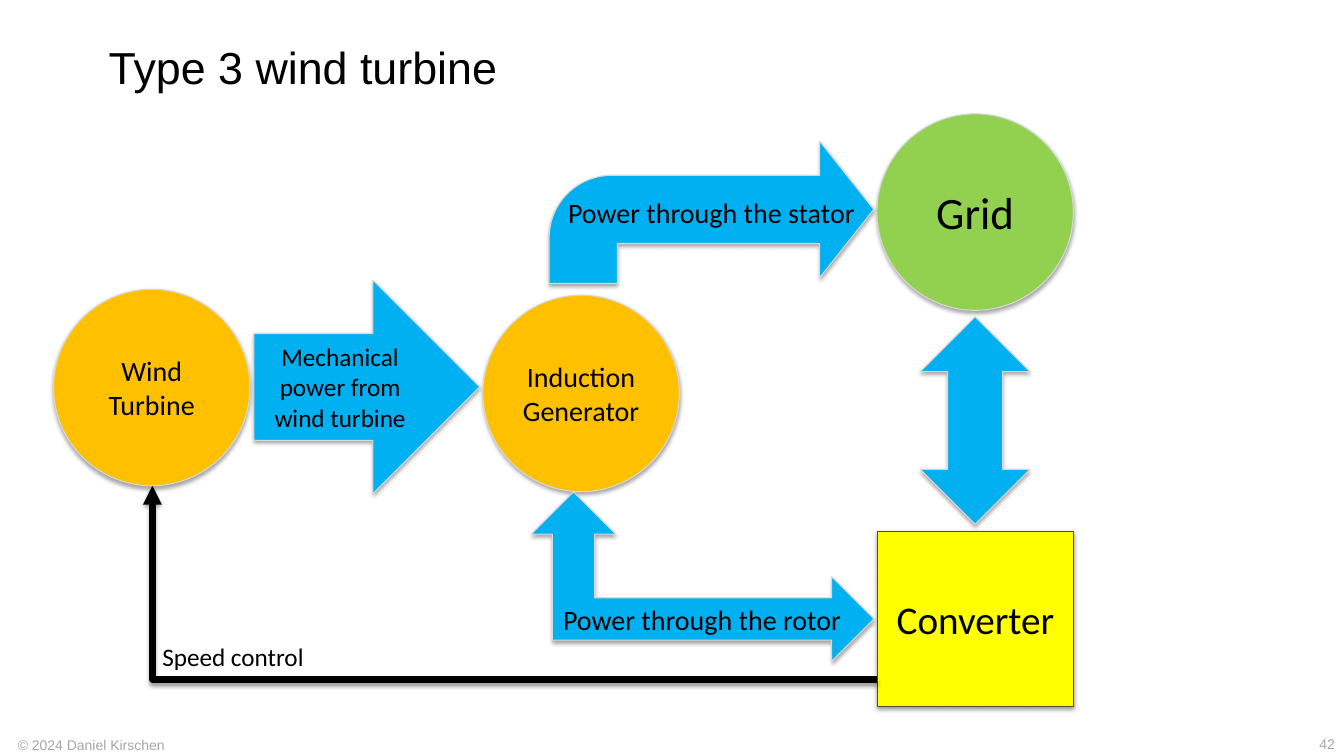
from dataclasses import dataclass

from lxml.etree import SubElement
from pptx import Presentation
from pptx.dml.color import RGBColor
from pptx.enum.shapes import MSO_CONNECTOR, MSO_SHAPE
from pptx.enum.text import MSO_ANCHOR, PP_ALIGN
from pptx.oxml.ns import qn
from pptx.util import Cm, Pt


@dataclass(frozen=True)
class Theme:
    """Colours, fonts and type sizes of the slide."""
    ink: str = "000000"
    pale: str = "A6A6A6"
    flow: str = "00B0F0"
    plant: str = "FFC000"
    grid: str = "92D050"
    box: str = "FFFF00"
    edge: str = "D8D8D8"
    rim: str = "4B4B4B"
    head: str = "Arial"
    body: str = "Calibri"
    tiny: int = 10
    small: int = 18
    mid: int = 20
    big: int = 28
    huge: int = 32


LOOK = Theme()
SOFT = {"alpha": 35, "dist": 1.8}
FIRM = {"alpha": 38, "dist": 1.6}
ROUND = 4.95


def dress(item, form):
    """Set each format value on an object."""
    for name, value in form.items():
        setattr(item, name, value)


def shade(item, alpha, dist):
    """Give a shape or connector a shadow that falls straight down."""
    group = SubElement(item.element.spPr, qn("a:effectLst"))
    drop = SubElement(group, qn("a:outerShdw"), blurRad=str(Pt(3.1)),
                      dist=str(Pt(dist)), dir="5400000", rotWithShape="0")
    tint = SubElement(drop, qn("a:srgbClr"), val=LOOK.ink)
    SubElement(tint, qn("a:alpha"), val=str(alpha * 1000))


def write(item, text, size, font=LOOK.body, ink=LOOK.ink, frame=None, para=None):
    """Put one formatted run of text in a shape."""
    dress(item.text_frame, {"word_wrap": True, **(frame or {})})
    line = item.text_frame.paragraphs[0]
    dress(line, para or {})
    run = line.add_run()
    run.text = text
    dress(run.font, {"name": font, "size": Pt(size)})
    run.font.color.rgb = RGBColor.from_string(ink)


def label(slide, area, text, size, **form):
    """Add a text box."""
    write(slide.shapes.add_textbox(*map(Cm, area)), text, size, **form)


def block(slide, kind, area, fill, text="", size=LOOK.mid, edge=LOOK.edge,
          drop=SOFT, turn=0, bends=()):
    """Add a filled shape with centred text."""
    item = slide.shapes.add_shape(kind, *map(Cm, area))
    item.rotation = turn
    for spot, bend in enumerate(bends):
        item.adjustments[spot] = bend
    item.fill.solid()
    item.fill.fore_color.rgb = RGBColor.from_string(fill)
    item.line.color.rgb = RGBColor.from_string(edge)
    item.line.width = Pt(0.75)
    shade(item, **drop)
    if text:
        write(item, text, size, frame={"vertical_anchor": MSO_ANCHOR.MIDDLE},
              para={"alignment": PP_ALIGN.CENTER})


def disc(slide, left, top, fill, text, size=LOOK.mid):
    """Add a round node."""
    block(slide, MSO_SHAPE.OVAL, (left, top, ROUND, ROUND), fill, text, size)


def link(slide, left, top, right, base):
    """Add an arrow that runs left along the base and then up."""
    item = slide.shapes.add_connector(MSO_CONNECTOR.ELBOW, *map(Cm, (left, top, right, base)))
    item.line.color.rgb = RGBColor.from_string(LOOK.ink)
    item.line.width = Pt(4.5)
    part = item.element.spPr
    part.find(qn("a:prstGeom")).set("prst", "bentConnector2")
    part.find(qn("a:xfrm")).set("rot", "10800000")
    SubElement(part.find(qn("a:ln")), qn("a:tailEnd"), type="triangle")
    shade(item, **FIRM)


def main():
    """Build the slide and save it."""
    deck = Presentation()
    dress(deck, {"slide_width": Cm(33.87), "slide_height": Cm(19.05)})
    slide = deck.slides.add_slide(deck.slide_layouts[6])
    foot = {"size": LOOK.tiny, "font": LOOK.head, "ink": LOOK.pale}

    label(slide, (0.2, 18.44, 8.43, 0.69), "© 2024 Daniel Kirschen", **foot)
    label(slide, (2.49, 1.04, 29.74, 1.83), "Type 3 wind turbine", LOOK.huge,
          font=LOOK.head, para={"line_spacing": 0.9})
    label(slide, (32.49, 18.39, 1.4, 0.69), "42", **foot,
          frame={"vertical_anchor": MSO_ANCHOR.MIDDLE},
          para={"alignment": PP_ALIGN.RIGHT})

    block(slide, MSO_SHAPE.RIGHT_ARROW, (6.4, 7.06, 5.69, 5.38), LOOK.flow,
          "Mechanical power from wind turbine", LOOK.small)
    block(slide, MSO_SHAPE.BENT_ARROW, (13.84, 3.56, 8.18, 3.58), LOOK.flow,
          "Power through the stator", bends=(0.48, 0.48, 0.38, 0.44))
    disc(slide, 12.17, 7.44, LOOK.plant, "Induction Generator")
    block(slide, MSO_SHAPE.LEFT_UP_ARROW, (15.57, 10.21, 4.27, 8.64), LOOK.flow, turn=90)
    label(slide, (13.94, 15.06, 7.57, 1.12), "Power through the rotor", LOOK.mid,
          frame={"word_wrap": False})
    block(slide, MSO_SHAPE.RECTANGLE, (22.12, 13.39, 4.93, 4.42), LOOK.box,
          "Converter", LOOK.big, edge=LOOK.rim, drop=FIRM)
    disc(slide, 22.1, 2.87, LOOK.grid, "Grid", LOOK.huge)
    block(slide, MSO_SHAPE.UP_DOWN_ARROW, (23.19, 7.98, 2.77, 5.23), LOOK.flow)
    link(slide, 3.84, 12.24, 22.1, 17.12)
    disc(slide, 1.35, 7.29, LOOK.plant, "Wind Turbine")
    label(slide, (3.84, 16.03, 4.11, 1.02), "Speed control", LOOK.small,
          frame={"word_wrap": False})
    deck.save("out.pptx")


if __name__ == "__main__":
    main()
